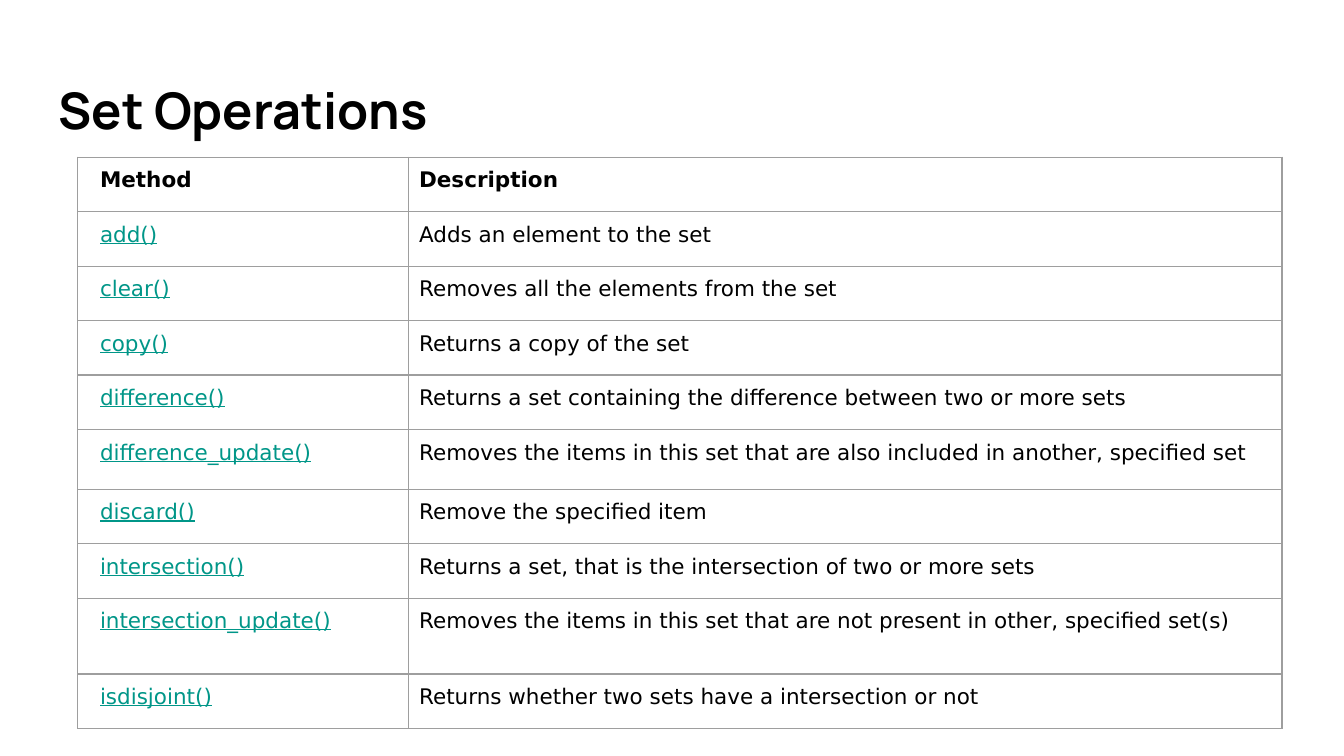
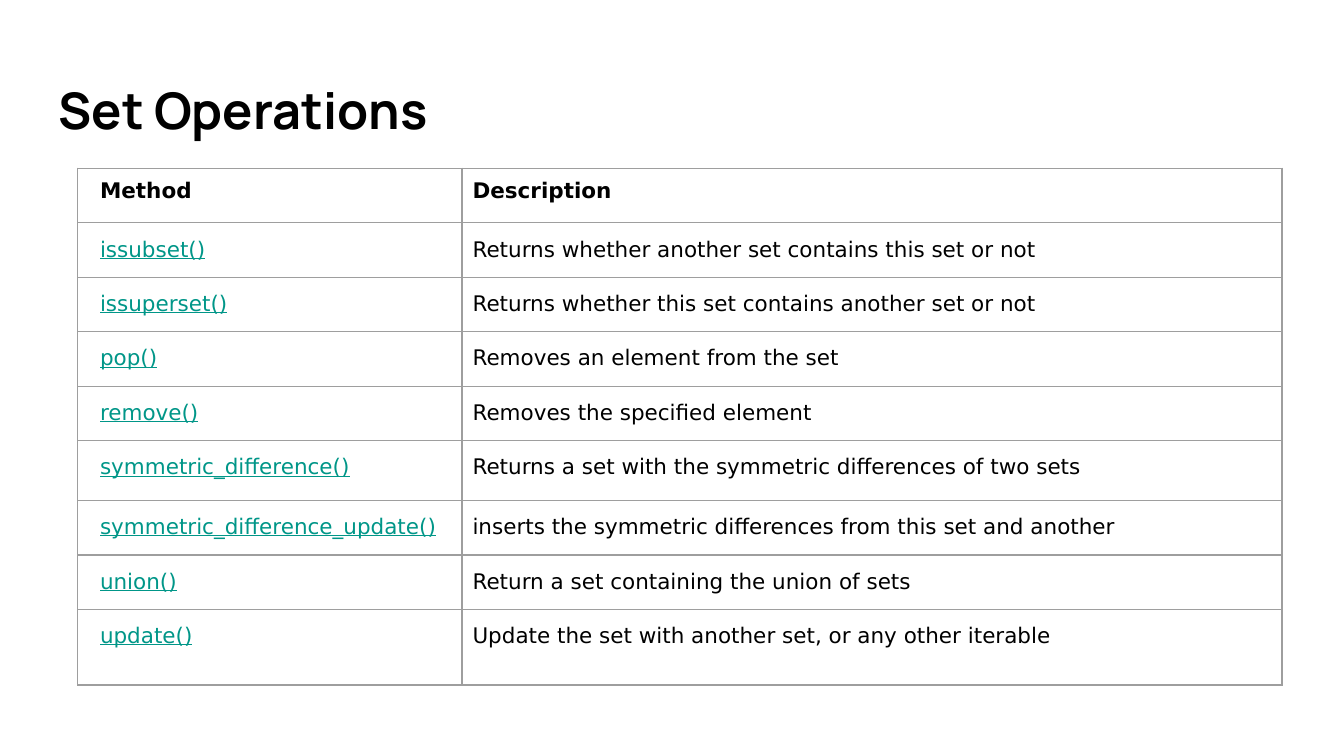
from lxml.etree import SubElement
from pptx import Presentation
from pptx.dml.color import RGBColor
from pptx.enum.text import MSO_ANCHOR, MSO_AUTO_SIZE, PP_ALIGN
from pptx.oxml.ns import qn
from pptx.util import Cm, Pt

METHODS_ADD_TO_ISDISJOINT = [
    ("add()", "Adds an element to the set"),
    ("clear()", "Removes all the elements from the set"),
    ("copy()", "Returns a copy of the set"),
    ("difference()", "Returns a set containing the difference between two or more sets"),
    ("difference_update()",
     "Removes the items in this set that are also included in another, specified set"),
    ("discard()", "Remove the specified item"),
    ("intersection()", "Returns a set, that is the intersection of two or more sets"),
    ("intersection_update()",
     "Removes the items in this set that are not present in other, specified set(s)"),
    ("isdisjoint()", "Returns whether two sets have a intersection or not"),
]
METHODS_ISSUBSET_TO_UPDATE = [
    ("issubset()", "Returns whether another set contains this set or not"),
    ("issuperset()", "Returns whether this set contains another set or not"),
    ("pop()", "Removes an element from the set"),
    ("remove()", "Removes the specified element"),
    ("symmetric_difference()", "Returns a set with the symmetric differences of two sets"),
    ("symmetric_difference_update()",
     "inserts the symmetric differences from this set and another"),
    ("union()", "Return a set containing the union of sets"),
    ("update()", "Update the set with another set, or any other iterable"),
]


def color(value):
    return RGBColor.from_string(value)


def write(frame, text, *, font, size, ink, bold=False, underline=False,
          highlight=None, spacing=0, line_spacing=None):
    """Put one formatted, left-aligned paragraph into a text frame."""
    paragraph = frame.paragraphs[0]
    paragraph.alignment = PP_ALIGN.LEFT
    paragraph.space_before = paragraph.space_after = Pt(spacing)
    paragraph.line_spacing = line_spacing
    run = paragraph.add_run()
    run.text = text
    run.font.name = font
    run.font.size = Pt(size)
    run.font.bold = bold
    run.font.underline = underline
    run.font.color.rgb = color(ink)
    if highlight:
        fill = run.font._element.find(qn("a:solidFill"))
        marker = SubElement(run.font._element, qn("a:highlight"))
        SubElement(marker, qn("a:srgbClr"), val=highlight)
        fill.addnext(marker)


class Deck:
    TITLE_FONT, TABLE_FONT = "Manrope", "DejaVu Sans"
    INK, METHOD_INK, BORDER, PAPER = "000000", "009688", "9E9E9E", "FFFFFF"
    TABLE_LEFT, TABLE_WIDTH, ROW_HEIGHT = 1.47, 22.76, 1.03

    def __init__(self):
        self.presentation = Presentation()
        self.presentation.slide_width = Cm(25.4)
        self.presentation.slide_height = Cm(14.29)
        self.slide = None

    def add_slide(self, heading):
        self.slide = self.presentation.slides.add_slide(self.presentation.slide_layouts[5])
        background = self.slide.background.fill
        background.solid()
        background.fore_color.rgb = color(self.PAPER)
        title = self.slide.shapes.title
        title.left, title.top = Cm(0.86), Cm(1.24)
        title.width, title.height = Cm(23.67), Cm(1.73)
        frame = title.text_frame
        frame.word_wrap = True
        frame.auto_size = MSO_AUTO_SIZE.NONE
        frame.vertical_anchor = MSO_ANCHOR.TOP
        frame.margin_left = frame.margin_right = Cm(0.25)
        frame.margin_top = frame.margin_bottom = Cm(0.25)
        write(frame, heading, font=self.TITLE_FONT, size=27, ink=self.INK, bold=True)

    def add_method_table(self, methods, top, method_width, tall_rows, line_spacing=None):
        """Add the method table; tall_rows maps a row number to its height in cm."""
        rows = [("Method", "Description"), *methods]
        heights = [tall_rows.get(i, self.ROW_HEIGHT) for i in range(len(rows))]
        table = self.slide.shapes.add_table(
            len(rows), 2, Cm(self.TABLE_LEFT), Cm(top),
            Cm(self.TABLE_WIDTH), Cm(sum(heights))).table
        table.first_row = table.horz_banding = False
        table.columns[0].width = Cm(method_width)
        table.columns[1].width = Cm(self.TABLE_WIDTH - method_width)
        for i, (row, height) in enumerate(zip(rows, heights)):
            table.rows[i].height = Cm(height)
            for j, text in enumerate(row):
                is_header = i == 0
                is_method = j == 0 and not is_header
                cell = table.cell(i, j)
                self.style_cell(cell, margin_left=0.2 if j else 0.42)
                write(cell.text_frame, text, font=self.TABLE_FONT, size=11.5,
                      ink=self.METHOD_INK if is_method else self.INK,
                      bold=is_header, underline=is_method, highlight=self.PAPER,
                      spacing=15, line_spacing=None if is_header else line_spacing)

    def style_cell(self, cell, margin_left):
        cell.margin_left = Cm(margin_left)
        cell.margin_right = cell.margin_top = cell.margin_bottom = Cm(0.2)
        cell.vertical_anchor = MSO_ANCHOR.TOP
        properties = cell._tc.get_or_add_tcPr()
        for side in ("lnL", "lnR", "lnT", "lnB"):
            line = SubElement(properties, qn(f"a:{side}"), w=str(Pt(0.75)))
            fill = SubElement(line, qn("a:solidFill"))
            SubElement(fill, qn("a:srgbClr"), val=self.BORDER)
        cell.fill.background()


def main():
    deck = Deck()
    deck.add_slide("Set Operations")
    deck.add_method_table(METHODS_ADD_TO_ISDISJOINT, top=2.97, method_width=6.25,
                          tall_rows={5: 1.13, 8: 1.43})
    deck.add_slide("Set Operations")
    deck.add_method_table(METHODS_ISSUBSET_TO_UPDATE, top=3.18, method_width=7.26,
                          tall_rows={5: 1.13, 8: 1.43}, line_spacing=1.15)
    deck.presentation.save("out.pptx")


if __name__ == "__main__":
    main()
